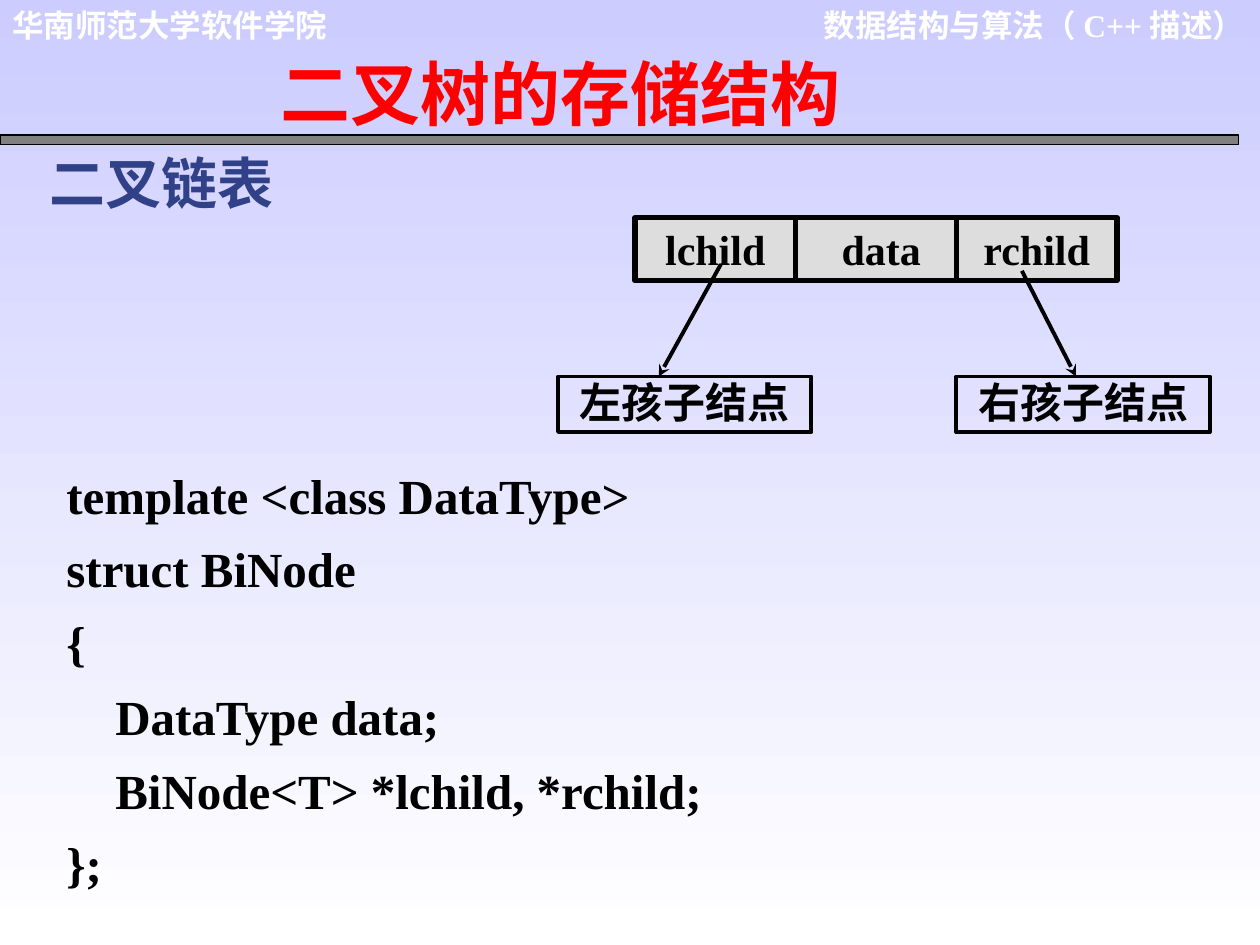
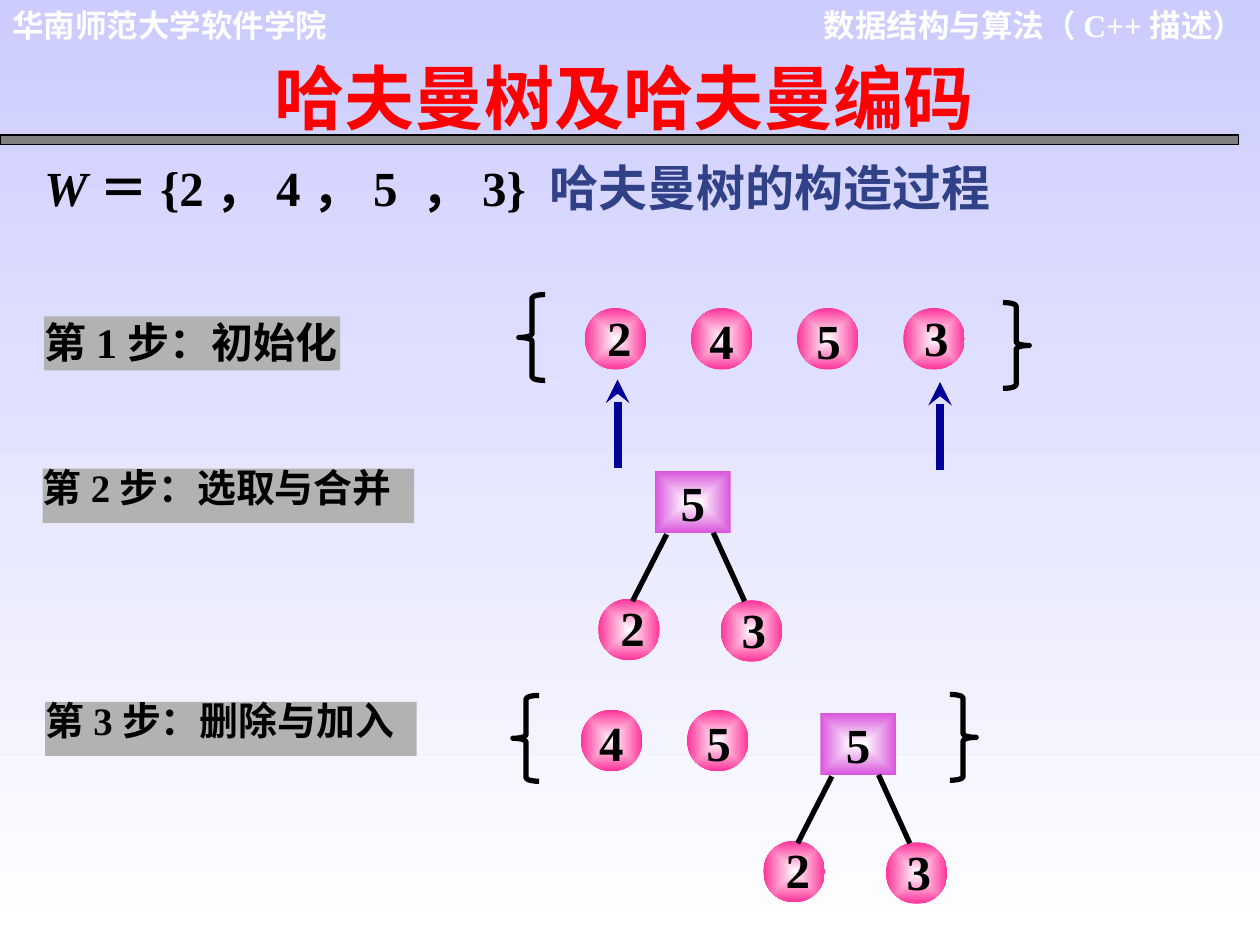
import pptx
import pptx.dml.color
import pptx.enum.shapes
import pptx.enum.text
import pptx.oxml
import pptx.oxml.ns
import pptx.util
from lxml import etree

Cm = pptx.util.Cm
Pt = pptx.util.Pt
qn = pptx.oxml.ns.qn
Shape = pptx.enum.shapes.MSO_SHAPE
Align = pptx.enum.text.PP_ALIGN
Anchor = pptx.enum.text.MSO_ANCHOR

COLORS = {
    "sky": "CCCCFF", "white": "FFFFFF", "black": "000000", "title": "FF0000",
    "heading": "314187", "rule": "808080", "cell": "DDDDDD", "step": "B2B2B2",
    "leaf": "FF3399", "root": "D955DC", "arrow": "000099", "shadow": "808080",
}
SERIF, SANS, CJK = "Times New Roman", "Arial", "Noto Sans CJK SC"
TEXT_INSETS = (0.25, 0.13, 0.25, 0.13)
NO_INSETS = (0, 0, 0, 0)
DIGIT_SHIFTS = {"2": (0.16, -0.02), "3": (0.13, -0.02), "4": (0.08, 0.05), "5": (0.1, 0.05)}


def rgb(name):
    return pptx.dml.color.RGBColor.from_string(COLORS[name])


class Board:
    def __init__(self):
        self.deck = pptx.Presentation()
        self.deck.slide_width = Cm(25.4)
        self.deck.slide_height = Cm(19.05)
        self.page = None
        fill = self.deck.slide_master.background.fill
        self.blend(fill, "sky", "white")
        fill.gradient_angle = 270

    def blend(self, fill, first, last):
        fill.gradient()
        for stop, name in zip(fill.gradient_stops, (first, last)):
            stop.color.rgb = rgb(name)

    def start(self, title, left, top, width, shadow=False):
        self.page = self.deck.slides.add_slide(self.deck.slide_layouts[5])
        self.text("数据结构与算法（C++描述）", 15.93, 0, 9.4, 1.02, 18, "white", align=Align.RIGHT)
        self.text("华南师范大学软件学院", 0, 0, 6.88, 1.02, 18, "white", face=SANS)
        self.shape(Shape.RECTANGLE, 0, 2.72, 24.97, 0.2, "rule", 0.75)
        box = self.page.shapes.title
        box.left, box.top, box.width, box.height = Cm(left), Cm(top), Cm(width), Cm(1.96)
        self.fill_text(box, title, 40, "title", align=Align.CENTER)
        if shadow:
            self.shade(box.text_frame.paragraphs[0].runs[0])

    def shade(self, span):
        effects = etree.SubElement(span.font._element, qn("a:effectLst"))
        outer = etree.SubElement(effects, qn("a:outerShdw"), dist="38100", dir="2700000")
        etree.SubElement(outer, qn("a:srgbClr"), val=COLORS["shadow"])

    def style(self, font, size, color, face, italic=False):
        font.size = Pt(size)
        font.bold = True
        font.italic = italic
        font.name = face
        font.color.rgb = rgb(color)
        etree.SubElement(font._element, qn("a:ea"), typeface=CJK)

    def frame(self, box, insets=TEXT_INSETS, anchor=Anchor.TOP):
        frame = box.text_frame
        frame.word_wrap = True
        frame.auto_size = pptx.enum.text.MSO_AUTO_SIZE.NONE
        frame.vertical_anchor = anchor
        frame.margin_left, frame.margin_top, frame.margin_right, frame.margin_bottom = map(Cm, insets)
        return frame

    def fill_text(self, box, text, size, color="black", face=SERIF, align=Align.LEFT,
                  insets=TEXT_INSETS, anchor=Anchor.TOP, before=0, spacing=1.0):
        frame = self.frame(box, insets, anchor)
        for index, line in enumerate(text.split("\n")):
            para = frame.add_paragraph() if index else frame.paragraphs[0]
            para.text = line
            para.alignment = align
            para.line_spacing = spacing
            para.space_before = Pt(before if index else 0)
            self.style(para.font, size, color, face)

    def text_box(self, left, top, width, height):
        return self.page.shapes.add_textbox(Cm(left), Cm(top), Cm(width), Cm(height))

    def text(self, text, left, top, width, height, size, color="black", **options):
        self.fill_text(self.text_box(left, top, width, height), text, size, color, **options)

    def spans(self, parts, left, top, width, height, size):
        para = self.frame(self.text_box(left, top, width, height)).paragraphs[0]
        for text, face, color, italic in parts:
            span = para.add_run()
            span.text = text
            self.style(span.font, size, color, face, italic)

    def shape(self, kind, left, top, width, height, fill=None, line=0):
        shape = self.page.shapes.add_shape(kind, Cm(left), Cm(top), Cm(width), Cm(height))
        shape.shadow.inherit = False
        if fill:
            shape.fill.solid()
            shape.fill.fore_color.rgb = rgb(fill)
        else:
            shape.fill.background()
        if line:
            shape.line.color.rgb = rgb("black")
            shape.line.width = Pt(line)
        else:
            shape.line.fill.background()
        return shape

    def glow(self, kind, left, top, width, height, color):
        shape = self.shape(kind, left, top, width, height)
        self.blend(shape.fill, "white", color)
        gradient = shape._element.spPr.find(qn("a:gradFill"))
        gradient.remove(gradient.find(qn("a:lin")))
        burst = etree.SubElement(gradient, qn("a:path"), path="rect")
        etree.SubElement(burst, qn("a:fillToRect"), l="50000", t="50000", r="50000", b="50000")
        return shape

    def line(self, x1, y1, x2, y2, width, color="black", arrow=False):
        line = self.page.shapes.add_connector(
            pptx.enum.shapes.MSO_CONNECTOR.STRAIGHT, Cm(x1), Cm(y1), Cm(x2), Cm(y2))
        line.line.color.rgb = rgb(color)
        line.line.width = Pt(width)
        if arrow:
            outline = line._element.spPr.find(qn("a:ln"))
            etree.SubElement(outline, qn("a:tailEnd"), type="stealth")
        etree.SubElement(line._element.spPr, qn("a:effectLst"))

    def leaf(self, digit, left, top):
        self.glow(Shape.OVAL, left, top, 1.24, 1.24, "leaf")
        right, down = DIGIT_SHIFTS[digit]
        self.text(digit, left + right, top + down, 1.07, 1.45, 28,
                  align=Align.CENTER, insets=NO_INSETS)

    def leaves(self, digits, left, top):
        for index, digit in enumerate(digits):
            self.leaf(digit, left + 2.14 * index, top)

    def tree(self, left, top):
        self.leaf("2", left - 1.15, top + 2.57)
        self.leaf("3", left + 1.32, top + 2.6)
        root = self.glow(Shape.RECTANGLE, left, top, 1.52, 1.24, "root")
        self.fill_text(root, "5", 28, align=Align.CENTER, insets=(0, 0.03, 0, 0.03))
        self.line(left + 0.23, top + 1.27, left - 0.46, top + 2.62, 3)
        self.line(left + 1.17, top + 1.24, left + 1.8, top + 2.62, 3)

    def brace(self, kind, left, top):
        self.shape(kind, left, top, 0.53, 1.73, line=3).adjustments[0] = 0.13

    def step(self, text, left, top, width, size, spacing):
        band = self.shape(Shape.RECTANGLE, left, top, width, 1.09, "step")
        self.fill_text(band, text, size, insets=NO_INSETS, spacing=spacing)


def linked_list(board):
    board.start("二叉树的存储结构", 3.78, 0.89, 15.04, shadow=True)
    board.text("二叉链表", 0.74, 2.87, 9.32, 1.63, 32, "heading")
    code = """template <class DataType>
struct BiNode
{
    DataType data;
    BiNode<T> *lchild, *rchild;
};"""
    board.text(code, 1.09, 9.25, 18.85, 8.61, 28, before=8.5)
    for index, (field, indent) in enumerate((("lchild", 0.25), ("data", 0.46), ("rchild", 0.25))):
        cell = board.shape(Shape.RECTANGLE, 12.8 + 3.24 * index, 4.39, 3.24, 1.27, "cell", 3)
        board.fill_text(cell, field, 24, align=Align.CENTER, anchor=Anchor.MIDDLE,
                        insets=(indent, 0, 0.25, 0.03))
    for text, left, start, end in (
            ("左孩子结点", 11.25, (14.53, 5.33), 13.28),
            ("右孩子结点", 19.28, (20.6, 5.46), 21.69)):
        board.line(*start, end, 7.59, 2.25, arrow=True)
        child = board.shape(Shape.RECTANGLE, left, 7.59, 5.11, 1.12, line=2.25)
        board.fill_text(child, text, 24, face=SANS, align=Align.CENTER, insets=(0.05, 0, 0.05, 0.1))


def huffman(board):
    board.start("哈夫曼树及哈夫曼编码", 2.79, 0.97, 19.58)
    comma = ("，", CJK, "black", False)
    board.spans([
        ("W", SERIF, "black", True), ("＝", CJK, "black", False),
        ("{2", SERIF, "black", False), comma, ("4", SERIF, "black", False), comma,
        ("5 ", SERIF, "black", False), comma, ("3} ", SERIF, "black", False),
        ("哈夫曼树的构造过程", CJK, "heading", False),
    ], 0.64, 3.05, 23.5, 1.45, 28)

    board.step("第1步：初始化", 0.89, 6.38, 5.97, 24, 1.0)
    board.leaves("2453", 11.79, 6.21)
    board.brace(Shape.LEFT_BRACE, 10.46, 5.94)
    board.brace(Shape.RIGHT_BRACE, 20.22, 6.1)

    board.step("第2步：选取与合并", 0.86, 9.45, 7.49, 22.2, 0.9)
    for x, tip in ((18.95, 7.7), (12.45, 7.65)):
        board.line(x, tip + 1.78, x, tip, 4.5, "arrow", arrow=True)
    board.tree(13.21, 9.5)

    board.step("第3步：删除与加入", 0.91, 14.15, 7.49, 22.2, 0.9)
    board.leaves("45", 11.71, 14.31)
    board.brace(Shape.LEFT_BRACE, 10.34, 14.02)
    board.brace(Shape.RIGHT_BRACE, 19.15, 14)
    board.tree(16.54, 14.38)


def main():
    board = Board()
    linked_list(board)
    huffman(board)
    board.deck.save("out.pptx")


if __name__ == "__main__":
    main()
